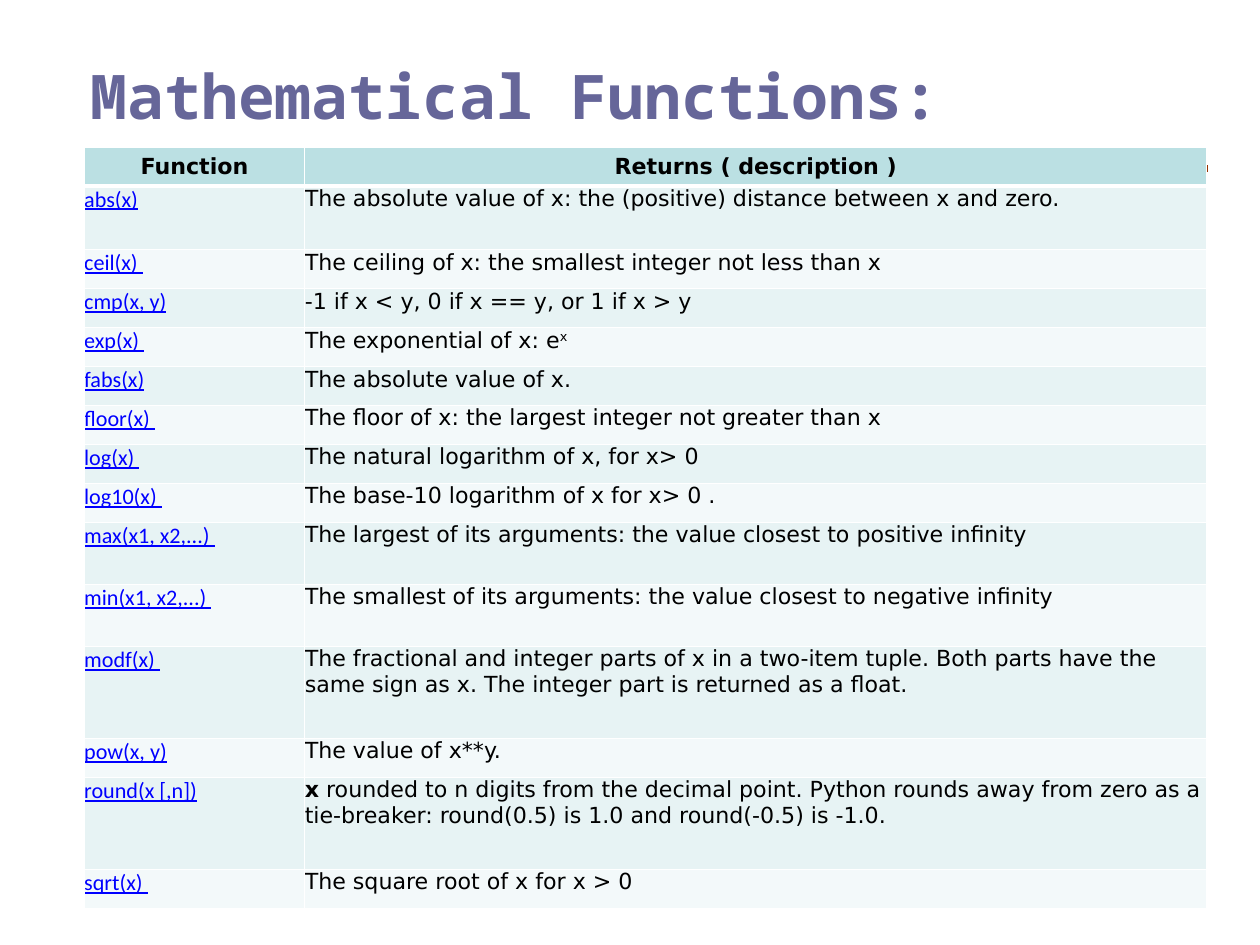
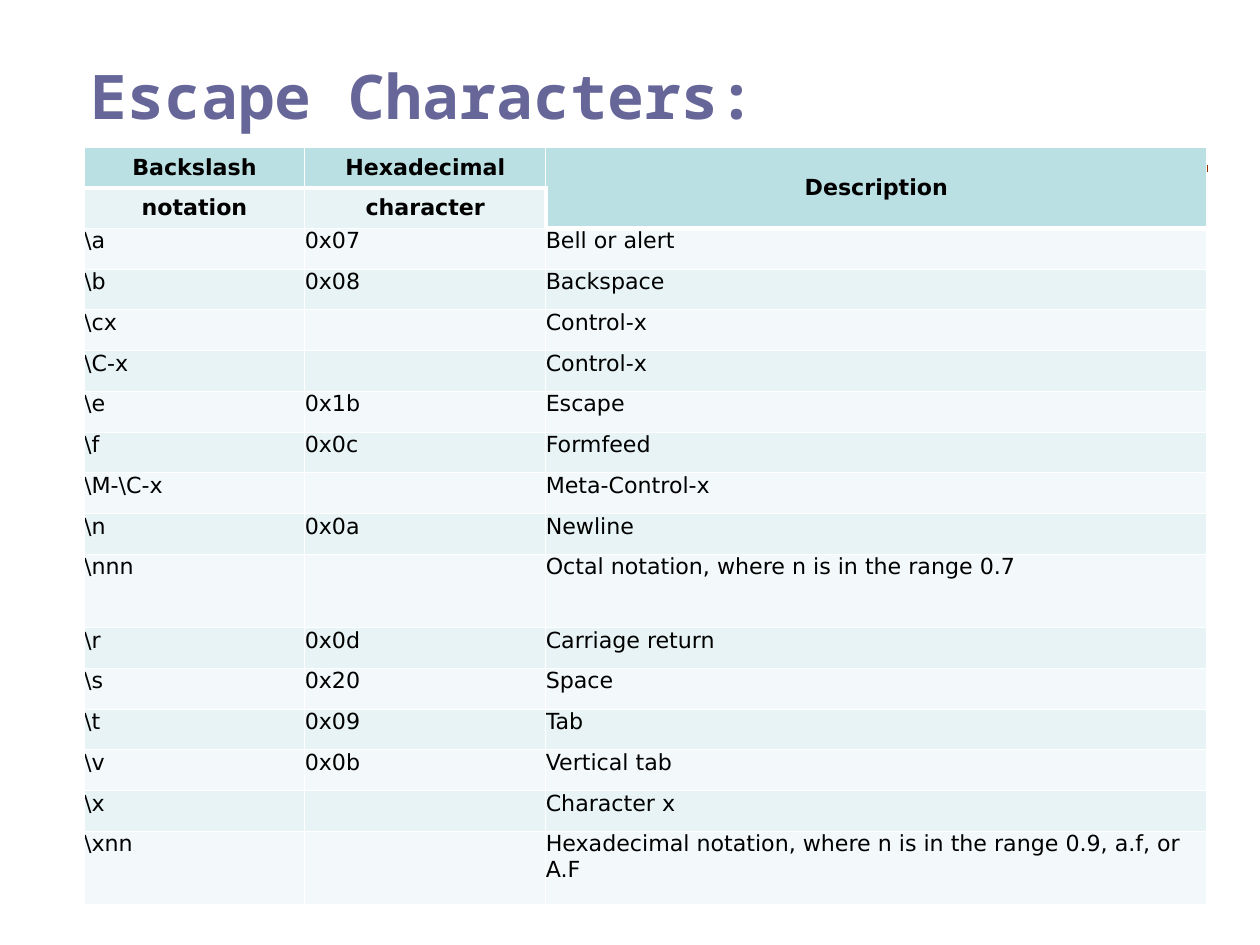
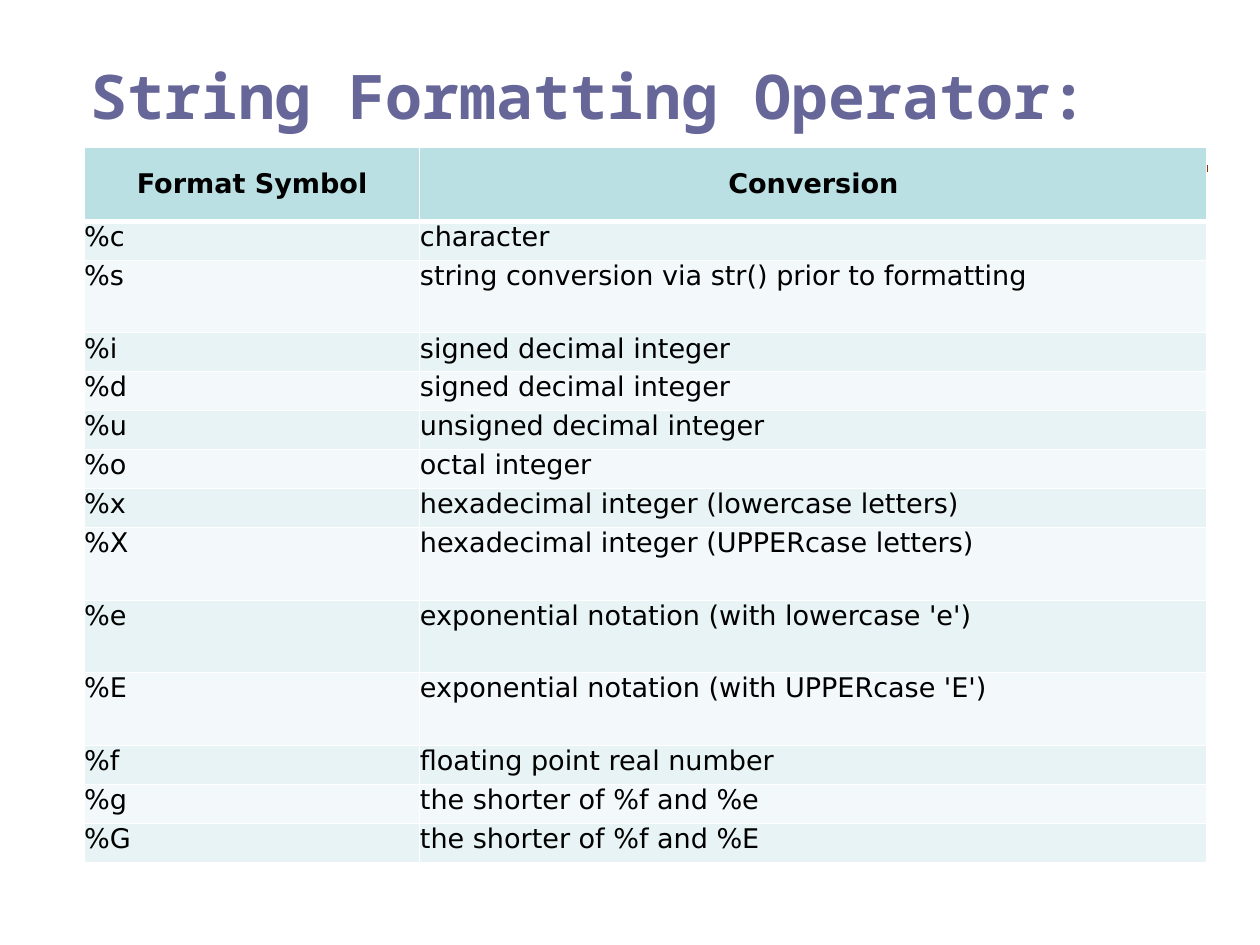
import pptx
import pptx.util
import pptx.dml.color
import pptx.enum.shapes
import pptx.enum.text
import pptx.oxml.ns
import lxml.etree

Inches, Pt = pptx.util.Inches, pptx.util.Pt
ANCHOR, ALIGN = pptx.enum.text.MSO_ANCHOR, pptx.enum.text.PP_ALIGN

HUES = {"title": "666699", "rule": "993300", "head": "BBE0E3", "odd": "E7F3F4",
        "even": "F3F9FA", "edge": "FFFFFF", "text": "000000", "link": "0000FF"}
TITLE = {"name": "Noto Sans Mono", "size": Pt(50), "bold": True}
BODY = {"name": "DejaVu Sans", "bold": False}
HEAD = {"name": "DejaVu Sans", "bold": True}
LINK = {"name": "Calibri", "bold": False, "underline": True}
FRAME = {"margin_left": Inches(0.07), "margin_right": Inches(0.07),
         "margin_top": Inches(0.07), "margin_bottom": Inches(0.07),
         "vertical_anchor": ANCHOR.TOP, "word_wrap": True,
         "auto_size": pptx.enum.text.MSO_AUTO_SIZE.NONE}
CELL = {"margin_left": 0, "margin_right": 0, "margin_top": 0, "margin_bottom": 0}
TOP = (0.95, 0.59, 12.68, 1.07)
GRID = (0.95, 1.66, 12.67)
THIN, THICK = 1, 4

MATH = [
    ("Function", "Returns ( description )"),
    ("abs(x)", "The absolute value of x: the (positive) distance between x and zero."),
    ("ceil(x) ", "The ceiling of x: the smallest integer not less than x"),
    ("cmp(x, y)", "-1 if x < y, 0 if x == y, or 1 if x > y"),
    ("exp(x) ", [("The exponential of x: e", ""), ("x", "raise")]),
    ("fabs(x)", "The absolute value of x."),
    ("floor(x) ", "The floor of x: the largest integer not greater than x"),
    ("log(x) ", "The natural logarithm of x, for x> 0"),
    ("log10(x) ", "The base-10 logarithm of x for x> 0 ."),
    ("max(x1, x2,...) ",
     "The largest of its arguments: the value closest to positive infinity"),
    ("min(x1, x2,...) ",
     "The smallest of its arguments: the value closest to negative infinity"),
    ("modf(x) ", "The fractional and integer parts of x in a two-item tuple. Both parts "
     "have the same sign as x. The integer part is returned as a float."),
    ("pow(x, y)", "The value of x**y."),
    ("round(x [,n])", [
        ("x", "bold"),
        (" rounded to n digits from the decimal point. Python rounds away from zero as a "
         "tie-breaker: round(0.5) is 1.0 and round(-0.5) is -1.0.", "")]),
    ("sqrt(x) ", "The square root of x for x > 0"),
]
CODES = [
    ("Backslash", "Hexadecimal", "Description"),
    ("notation", "character", ""),
    ("\\a", "0x07", "Bell or alert"),
    ("\\b", "0x08", "Backspace"),
    ("\\cx", "", "Control-x"),
    ("\\C-x", "", "Control-x"),
    ("\\e", "0x1b", "Escape"),
    ("\\f", "0x0c", "Formfeed"),
    ("\\M-\\C-x", "", "Meta-Control-x"),
    ("\\n", "0x0a", "Newline"),
    ("\\nnn", "", "Octal notation, where n is in the range 0.7"),
    ("\\r", "0x0d", "Carriage return"),
    ("\\s", "0x20", "Space"),
    ("\\t", "0x09", "Tab"),
    ("\\v", "0x0b", "Vertical tab"),
    ("\\x", "", "Character x"),
    ("\\xnn", "", "Hexadecimal notation, where n is in the range 0.9, a.f, or A.F"),
]
SIGNS = [
    ("Format Symbol", "Conversion"),
    ("%c", "character"),
    ("%s", "string conversion via str() prior to formatting"),
    ("%i", "signed decimal integer"),
    ("%d", "signed decimal integer"),
    ("%u", "unsigned decimal integer"),
    ("%o", "octal integer"),
    ("%x", "hexadecimal integer (lowercase letters)"),
    ("%X", "hexadecimal integer (UPPERcase letters)"),
    ("%e", "exponential notation (with lowercase 'e')"),
    ("%E", "exponential notation (with UPPERcase 'E')"),
    ("%f", "floating point real number"),
    ("%g", "the shorter of %f and %e"),
    ("%G", "the shorter of %f and %E"),
]
PAGES = [
    {"title": "Mathematical Functions:", "rows": MATH, "cols": (2.49, 10.18),
     "deep": (1, 1), "size": 18, "step": 0.44, "links": True,
     "tall": {1: 0.72, 9: 0.7, 10: 0.7, 11: 1.04, 13: 1.04}},
    {"title": "Escape Characters:", "rows": CODES, "cols": (2.49, 2.72, 7.46),
     "deep": (1, 1, 2), "size": 18, "step": 0.46, "tall": {10: 0.83, 16: 0.83}},
    {"title": "String Formatting Operator:", "rows": SIGNS, "cols": (3.79, 8.88),
     "deep": (1, 1), "size": 22, "step": 0.44,
     "tall": {0: 0.84, 2: 0.82, 8: 0.82, 9: 0.82, 10: 0.82}},
]


def hue(key):
    """Return the named colour."""
    return pptx.dml.color.RGBColor.from_string(HUES[key])


def dress(item, look):
    """Set each attribute in the format dict."""
    for key, value in look.items():
        setattr(item, key, value)


def write(para, text, look, key):
    """Add text, or marked pieces of text, to a paragraph."""
    pieces = [(text, "")] if isinstance(text, str) else text
    for words, mark in pieces:
        run = para.add_run()
        run.text = words
        dress(run.font, look)
        run.font.color.rgb = hue(key)
        if mark == "bold":
            run.font.bold = True
        if mark == "raise":
            run._r.get_or_add_rPr().set("baseline", "30000")


def edge(cell, sides):
    """Draw the cell borders with the given widths."""
    props = cell._tc.get_or_add_tcPr()
    tag = pptx.oxml.ns.qn
    for side in "LRTB":
        line = lxml.etree.SubElement(props, tag("a:ln" + side), w=str(Pt(sides[side])))
        fill = lxml.etree.SubElement(line, tag("a:solidFill"))
        lxml.etree.SubElement(fill, tag("a:srgbClr"), val=HUES["edge"])


def top(slide, box, text):
    """Place the title and the rule below it."""
    left, high, wide, tall = box
    shape = slide.shapes.title
    dress(shape, dict(zip(("left", "top", "width", "height"), map(Inches, box))))
    dress(shape.text_frame, FRAME)
    para = shape.text_frame.paragraphs[0]
    para.alignment = ALIGN.LEFT
    write(para, text, TITLE, "title")
    level = Inches(high + tall + 0.24)
    rule = slide.shapes.add_connector(pptx.enum.shapes.MSO_CONNECTOR.STRAIGHT,
                                      Inches(left), level, Inches(left + wide), level)
    rule.line.width = Pt(6)
    rule.line.color.rgb = hue("rule")
    lxml.etree.SubElement(rule._element.spPr, pptx.oxml.ns.qn("a:effectLst"))


def grid(slide, box, page):
    """Place the table with its header and banded rows."""
    rows, cols, deep = page["rows"], page["cols"], page["deep"]
    sizes = [page["tall"].get(row, page["step"]) for row in range(len(rows))]
    left, high, wide = map(Inches, box)
    table = slide.shapes.add_table(len(rows), len(cols), left, high, wide,
                                   Inches(sum(sizes))).table
    dress(table, {"first_row": False, "horz_banding": False})
    for col, width in zip(table.columns, cols):
        col.width = Inches(width)
    for row, size in zip(table.rows, sizes):
        row.height = Inches(size)
    for r, texts in enumerate(rows):
        for c, text in enumerate(texts):
            cell = table.cell(r, c)
            head = r < max(deep)
            beside = c + 1 < len(deep) and deep[c] <= r < deep[c + 1]
            edge(cell, {"L": THIN, "R": THICK if beside else THIN,
                        "T": THICK if r == deep[c] else THIN,
                        "B": THICK if r < deep[c] else THIN})
            dress(cell, CELL)
            cell.vertical_anchor = ANCHOR.MIDDLE if head else ANCHOR.TOP
            cell.fill.solid()
            band = "odd" if r % 2 else "even"
            cell.fill.fore_color.rgb = hue("head" if r < deep[c] else band)
            para = cell.text_frame.paragraphs[0]
            para.alignment = ALIGN.CENTER if head else ALIGN.LEFT
            link = page.get("links") and c == 0 and not head
            look = HEAD if head else LINK if link else BODY
            if text:
                write(para, text, {**look, "size": Pt(page["size"])},
                      "link" if link else "text")
    for c, depth in enumerate(deep):
        if depth > 1:
            table.cell(0, c).merge(table.cell(depth - 1, c))


def main():
    """Build and save the deck."""
    deck = pptx.Presentation()
    dress(deck, {"slide_width": Inches(14.22), "slide_height": Inches(10.67)})
    for page in PAGES:
        slide = deck.slides.add_slide(deck.slide_layouts[5])
        top(slide, TOP, page["title"])
        grid(slide, GRID, page)
    deck.save("out.pptx")


main()
